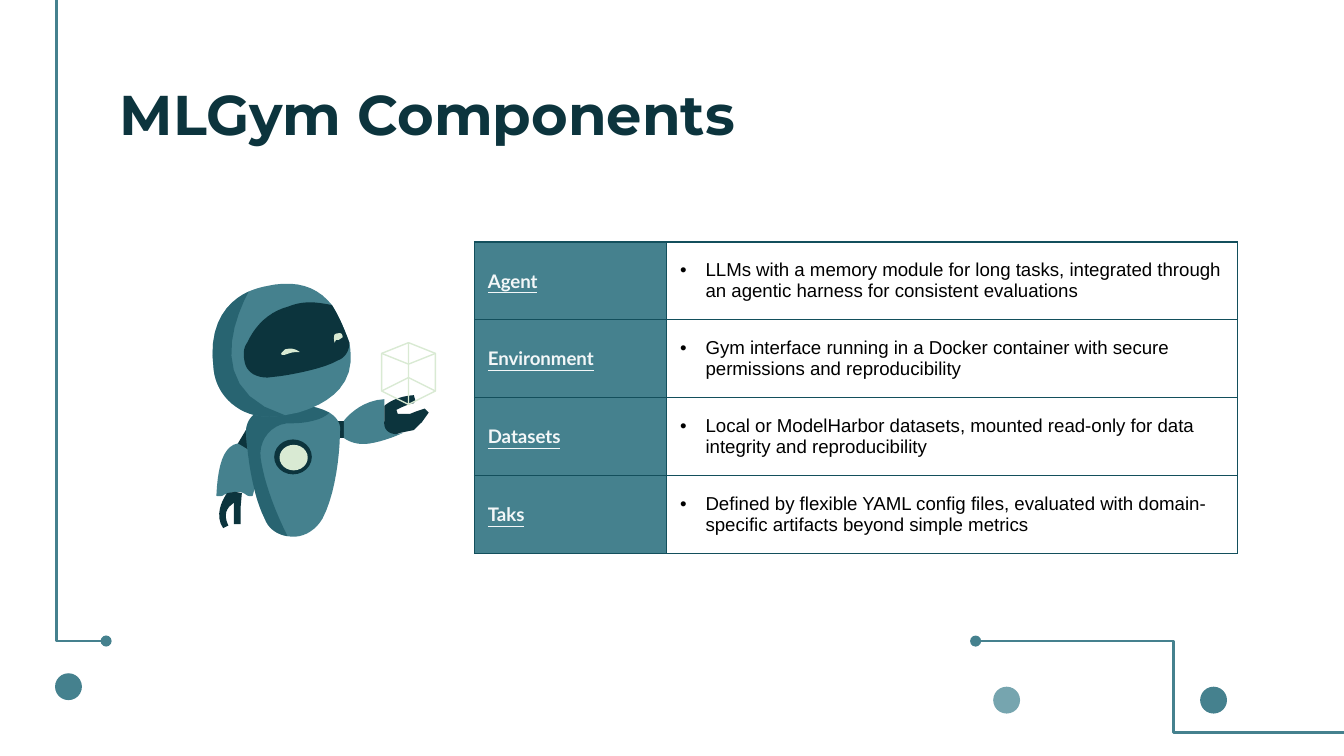
from lxml import etree
from pptx import Presentation
from pptx import util as u
from pptx.dml.color import RGBColor
from pptx.enum import shapes, text
from pptx.oxml import ns

TEAL = RGBColor(0x45, 0x81, 0x8E)
LIGHT_TEAL = RGBColor(0x76, 0xA5, 0xAF)
DEEP_TEAL = RGBColor(0x13, 0x4F, 0x5C)
DARK = RGBColor(0x0C, 0x34, 0x3D)
MINT = RGBColor(0xD9, 0xEA, 0xD3)
PALE = RGBColor(0xF3, 0xF7, 0xF8)
BLACK = RGBColor(0, 0, 0)

TITLE_FONT = {"name": "Montserrat", "size": u.Pt(30), "bold": True}
LABEL_FONT = {"name": "Lato", "size": u.Pt(10), "bold": True, "underline": True}
DETAIL_FONT = {"name": "Arial", "size": u.Pt(10), "bold": False, "underline": False}
COLUMN_WIDTHS = (1.43, 4.25)
ROW_HEIGHT = 0.58

COMPONENTS = [
    ("Agent", "LLMs with a memory module for long tasks, integrated through "
              "an agentic harness for consistent evaluations"),
    ("Environment", "Gym interface running in a Docker container with secure "
                    "permissions and reproducibility"),
    ("Datasets", "Local or ModelHarbor datasets, mounted read-only for data "
                 "integrity and reproducibility"),
    ("Taks", "Defined by flexible YAML config files, evaluated with "
             "domain-specific artifacts beyond simple metrics"),
]

WRIST = [(2.49, 3.13), (2.49, 3.26), (2.56, 3.26), (2.56, 3.13)]
RAISED_ARM = [(2.56, 3.13), (2.56, 3.13, 2.67, 2.98, 2.86, 2.97), (2.86, 3.13),
              (2.86, 3.15, 2.86, 3.18, 2.88, 3.19), (2.9, 3.22, 2.93, 3.24, 3, 3.22),
              (3, 3.22, 2.88, 3.28, 2.75, 3.3), (2.68, 3.31, 2.62, 3.3, 2.56, 3.26)]
RAISED_HAND = [(3.08, 2.94), (2.93, 2.95, 2.86, 3.02, 2.86, 3.02), (2.86, 3.13),
               (2.85, 3.19, 2.89, 3.23, 2.95, 3.23), (2.98, 3.22), (3.08, 3.2),
               (3.14, 3.14), (3.19, 3.07), (3.16, 3.04), (3.1, 3.06), (3.05, 3.08),
               (2.96, 3.08), (2.95, 3.05), (3.02, 3.01, 3.08, 3, 3.08, 3), (3.09, 2.98)]
SHOULDER = [(1.83, 3.2), (1.77, 3.3), (1.85, 3.4), (1.93, 3.34)]
LOWERED_ARM = [(1.77, 3.3), (1.66, 3.32, 1.62, 3.47, 1.61, 3.69),
               (1.61, 3.69, 1.65, 3.7, 1.67, 3.68), (1.71, 3.67),
               (1.74, 3.66, 1.79, 3.65, 1.83, 3.68), (1.83, 3.68, 1.85, 3.7, 1.88, 3.69),
               (1.88, 3.69, 1.95, 3.47, 1.87, 3.36)]
LOWERED_HAND = [(1.75, 3.66), (1.69, 3.67), (1.69, 3.67, 1.58, 3.81, 1.66, 3.93),
                (1.7, 3.91), (1.7, 3.91, 1.64, 3.81, 1.73, 3.75), (1.74, 3.74),
                (1.74, 3.9), (1.79, 3.9), (1.79, 3.78), (1.8, 3.67)]
BODY = [(2.53, 3.21), (2.53, 3.36, 2.5, 3.67, 2.4, 3.86),
        (2.34, 3.96, 2.24, 4.01, 2.14, 3.99), (2.07, 3.98, 2, 3.94, 1.97, 3.86),
        (1.9, 3.72, 1.85, 3.5, 1.83, 3.22), (1.83, 3.16, 1.86, 3.1, 1.91, 3.07),
        (1.98, 3.05), (2.11, 3.01, 2.3, 2.99, 2.45, 3.07),
        (2.5, 3.1, 2.54, 3.15, 2.53, 3.21)]
BODY_SHADE = [(2.45, 3.07), (2.3, 2.99, 2.11, 3.01, 1.98, 3.05), (1.91, 3.07),
              (1.86, 3.1, 1.83, 3.15, 1.83, 3.22), (1.85, 3.5, 1.9, 3.72, 1.97, 3.86),
              (2, 3.94, 2.07, 3.98, 2.14, 3.99), (2.02, 3.75, 1.96, 3.55, 1.94, 3.41),
              (1.92, 3.27, 2.03, 3.14, 2.17, 3.15), (2.31, 3.15, 2.42, 3.11, 2.45, 3.07)]
HEAD = [(2.61, 2.69), (2.59, 2.97, 2.28, 3.05, 2.22, 3.07), (2.12, 3.09),
        (1.91, 3.13, 1.78, 3.06, 1.7, 2.98), (1.64, 2.92, 1.6, 2.84, 1.59, 2.75),
        (1.54, 2.38, 1.72, 2.23, 1.85, 2.17), (1.92, 2.14, 1.98, 2.13, 1.98, 2.13),
        (2.2, 2.08, 2.36, 2.13, 2.47, 2.27), (2.52, 2.35, 2.56, 2.44, 2.6, 2.55),
        (2.61, 2.6, 2.61, 2.64, 2.61, 2.69)]
HEAD_SHADE = [(2.12, 3.09), (1.91, 3.13, 1.78, 3.06, 1.7, 2.98),
              (1.64, 2.92, 1.6, 2.84, 1.59, 2.75), (1.54, 2.38, 1.72, 2.23, 1.85, 2.17),
              (1.73, 2.4, 1.54, 2.91, 2.12, 3.09)]
VISOR = [(2.31, 2.25), (2.25, 2.25, 2.2, 2.26, 2.15, 2.28),
         (2, 2.32, 1.9, 2.42, 1.84, 2.55), (1.81, 2.59, 1.81, 2.64, 1.82, 2.69),
         (1.83, 2.75, 1.88, 2.81, 1.99, 2.81), (2.08, 2.8),
         (2.08, 2.8, 2.38, 2.76, 2.52, 2.68), (2.57, 2.66, 2.6, 2.61, 2.6, 2.55),
         (2.56, 2.44, 2.52, 2.35, 2.47, 2.27), (2.41, 2.26, 2.36, 2.25, 2.31, 2.25)]
LEFT_EYE = [(2.23, 2.62), (2.23, 2.62, 2.19, 2.58, 2.12, 2.6), (2.1, 2.62),
            (2.09, 2.63, 2.09, 2.64, 2.1, 2.64), (2.12, 2.64), (2.15, 2.63),
            (2.18, 2.62, 2.2, 2.62, 2.23, 2.62)]
RIGHT_EYE = [(2.53, 2.48), (2.52, 2.48, 2.5, 2.48, 2.49, 2.49),
             (2.48, 2.51, 2.49, 2.55, 2.49, 2.55), (2.5, 2.53), (2.52, 2.53),
             (2.55, 2.51), (2.55, 2.49, 2.54, 2.48, 2.53, 2.48)]
ROBOT = [
    (WRIST, DARK, 100), (RAISED_ARM, TEAL, 100), (RAISED_HAND, DARK, 100),
    (SHOULDER, DARK, 100), (LOWERED_ARM, TEAL, 100), (LOWERED_HAND, DARK, 100),
    (BODY, TEAL, 100), (BODY_SHADE, DEEP_TEAL, 57), (HEAD, TEAL, 100),
    (HEAD_SHADE, DEEP_TEAL, 57), (VISOR, DARK, 100), (LEFT_EYE, MINT, 100),
    (RIGHT_EYE, MINT, 100),
]
CUBE_EDGES = [
    [(3.04, 2.55), (3.24, 2.63), (3.24, 2.91), (3.04, 3.01), (2.84, 2.91),
     (2.84, 2.63), (3.04, 2.55), (3.04, 3.01)],
    [(2.84, 2.63), (3.04, 2.71), (3.24, 2.63)],
    [(2.84, 2.91), (3.04, 2.81), (3.24, 2.91)],
]


def add_xml(parent, tag, **attributes):
    return etree.SubElement(parent, ns.qn(tag), attributes)


def style_font(font, style, color):
    for key, value in style.items():
        setattr(font, key, value)
    font.color.rgb = color


def to_emu(points):
    return [(u.Inches(x), u.Inches(y)) for x, y in points]


def flatten(outline, steps=10):
    points = [outline[0]]
    for segment in outline[1:]:
        if len(segment) == 2:
            points.append(segment)
            continue
        controls = (points[-1], segment[:2], segment[2:4], segment[4:])
        for step in range(1, steps + 1):
            t = step / steps
            weights = ((1 - t) ** 3, 3 * t * (1 - t) ** 2, 3 * t * t * (1 - t), t ** 3)
            points.append(tuple(sum(w * c[axis] for w, c in zip(weights, controls))
                                for axis in (0, 1)))
    return points


def paint(part, color, opacity=100):
    part.shadow.inherit = False
    part.fill.solid()
    part.fill.fore_color.rgb = color
    part.line.fill.background()
    if opacity < 100:
        swatch = part._element.spPr.find(".//" + ns.qn("a:srgbClr"))
        add_xml(swatch, "a:alpha", val=str(opacity * 1000))


def add_circle(slide, left, top, width, height, color):
    box = [u.Inches(n) for n in (left, top, width, height)]
    paint(slide.shapes.add_shape(shapes.MSO_SHAPE.OVAL, *box), color)


def add_robot(slide):
    for outline, color, opacity in ROBOT:
        points = to_emu(flatten(outline))
        builder = slide.shapes.build_freeform(*points[0])
        builder.add_line_segments(points[1:], close=True)
        paint(builder.convert_to_shape(), color, opacity)
    add_circle(slide, 2.04, 3.27, 0.28, 0.26, DARK)
    add_circle(slide, 2.08, 3.31, 0.21, 0.19, MINT)


def add_cube(slide):
    first, *others = [to_emu(edge) for edge in CUBE_EDGES]
    builder = slide.shapes.build_freeform(*first[0])
    builder.add_line_segments(first[1:], close=False)
    for edge in others:
        builder.move_to(*edge[0])
        builder.add_line_segments(edge[1:], close=False)
    cube = builder.convert_to_shape()
    cube.shadow.inherit = False
    cube.fill.background()
    cube.line.color.rgb = MINT
    cube.line.width = u.Pt(0.75)


def add_circuit(slide, start, end):
    (x1, y1), (x2, y2) = to_emu([start, end])
    circuit = slide.shapes.add_connector(shapes.MSO_CONNECTOR.ELBOW, x1, y1, x2, y2)
    circuit.line.color.rgb = TEAL
    circuit.line.width = u.Pt(1.5)
    properties = circuit._element.spPr
    add_xml(properties.find(ns.qn("a:ln")), "a:tailEnd", type="oval")
    add_xml(properties, "a:effectLst")
    return properties


def add_corner_circuit(slide):
    properties = add_circuit(slide, (3.11, 2.08), (-1.9, 2.45))
    properties.find(ns.qn("a:xfrm")).set("rot", str(270 * 60000))
    properties.find(ns.qn("a:prstGeom")).set("prst", "bentConnector2")


def fill_cell(cell, content, style, color):
    cell.margin_left = cell.margin_right = u.Inches(0.1)
    cell.margin_top = cell.margin_bottom = 0
    cell.vertical_anchor = text.MSO_ANCHOR.MIDDLE
    for side in ("a:lnL", "a:lnR", "a:lnT", "a:lnB"):
        border = add_xml(cell._tc.get_or_add_tcPr(), side, w=str(u.Pt(0.75)))
        add_xml(add_xml(border, "a:solidFill"), "a:srgbClr", val=str(DEEP_TEAL))
    run = cell.text_frame.paragraphs[0].add_run()
    run.text = content
    style_font(run.font, style, color)


def add_bullet(paragraph):
    paragraph.space_after = u.Pt(16)
    properties = paragraph._p.get_or_add_pPr()
    properties.set("marL", str(u.Inches(0.19)))
    properties.set("indent", str(-u.Inches(0.19)))
    add_xml(add_xml(properties, "a:buClr"), "a:srgbClr", val=str(BLACK))
    add_xml(properties, "a:buSzPts", val="1000")
    add_xml(properties, "a:buFont", typeface="Arial")
    add_xml(properties, "a:buChar", char="•")


def add_components(slide):
    box = (3.53, 1.8, sum(COLUMN_WIDTHS), ROW_HEIGHT * len(COMPONENTS))
    table = slide.shapes.add_table(len(COMPONENTS), 2, *map(u.Inches, box)).table
    table.first_row = table.horz_banding = False
    for column, width in zip(table.columns, COLUMN_WIDTHS):
        column.width = u.Inches(width)
    for row, (label, detail) in enumerate(COMPONENTS):
        label_cell, detail_cell = table.cell(row, 0), table.cell(row, 1)
        fill_cell(label_cell, label, LABEL_FONT, PALE)
        label_cell.fill.solid()
        label_cell.fill.fore_color.rgb = TEAL
        fill_cell(detail_cell, detail, DETAIL_FONT, BLACK)
        detail_cell.fill.background()
        add_bullet(detail_cell.text_frame.paragraphs[0])


def set_title(slide, heading):
    title = slide.shapes.title
    title.left, title.top, title.width, title.height = map(u.Inches, (0.79, 0.49, 8.43, 0.63))
    frame = title.text_frame
    frame.text = heading
    layout = {"margin_left": u.Inches(0.1), "margin_right": u.Inches(0.1),
              "margin_top": u.Inches(0.1), "margin_bottom": u.Inches(0.1),
              "vertical_anchor": text.MSO_ANCHOR.TOP, "word_wrap": True,
              "auto_size": text.MSO_AUTO_SIZE.NONE}
    for key, value in layout.items():
        setattr(frame, key, value)
    frame.paragraphs[0].alignment = text.PP_ALIGN.LEFT
    style_font(frame.paragraphs[0].runs[0].font, TITLE_FONT, DARK)


def main():
    deck = Presentation()
    deck.slide_width = u.Inches(10)
    deck.slide_height = deck.slide_width * 9 // 16
    slide = deck.slides.add_slide(deck.slide_layouts[5])
    set_title(slide, "MLGym Components")
    add_corner_circuit(slide)
    for left, top, color in ((0.41, 5.01, TEAL), (8.93, 5.11, TEAL), (7.39, 5.11, LIGHT_TEAL)):
        add_circle(slide, left, top, 0.2, 0.2, color)
    add_components(slide)
    add_circuit(slide, (10.2, 5.45), (7.26, 4.77))
    add_robot(slide)
    add_cube(slide)
    deck.save("out.pptx")


if __name__ == "__main__":
    main()
